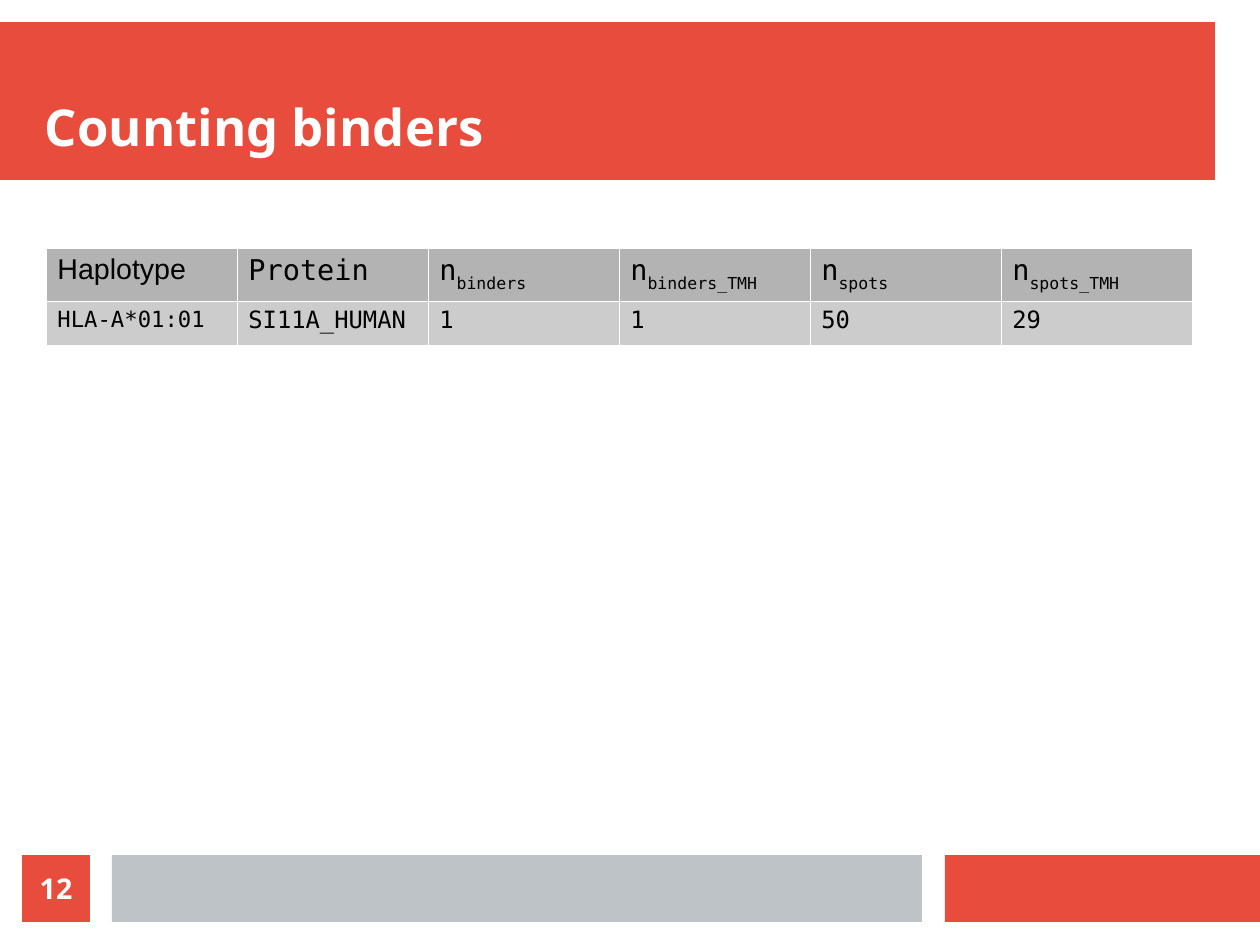
from lxml import etree
from pptx import Presentation
from pptx import util as u
from pptx.dml.color import RGBColor
from pptx.enum import shapes, text
from pptx.oxml.ns import qn

PX = 8000  # EMU in one px
RED = RGBColor(0xE7, 0x4C, 0x3C)
SILVER = RGBColor(0xBD, 0xC3, 0xC7)
HEADER_GRAY = RGBColor(0xB3, 0xB3, 0xB3)
ROW_GRAY = RGBColor(0xCC, 0xCC, 0xCC)
WHITE = RGBColor(0xFF, 0xFF, 0xFF)
BLACK = RGBColor(0, 0, 0)
HEADING, MONO, PLAIN = "Noto Sans", "DejaVu Sans Mono", "Arial"

# Each cell: text, subscript, font, size
HEADER = [("Haplotype", "", PLAIN, 18), ("Protein", "", MONO, 18)] + [
    ("n", name, MONO, 18) for name in ("binders", "binders_TMH", "spots", "spots_TMH")]
COUNTS = [("HLA-A*01:01", "", MONO, 14)] + [
    (value, "", MONO, 15) for value in ("SI11A_HUMAN", "1", "1", "50", "29")]


def add_span(para, content, font=HEADING, size=18, color=WHITE, bold=False, baseline=0):
    """Append formatted text; baseline is a percentage, negative for subscript."""
    span = para.add_run()
    span.text = content
    span.font.name = font
    span.font.size = u.Pt(size)
    span.font.color.rgb = color
    span.font.bold = bold
    if baseline:
        span.font._element.set("baseline", str(baseline * 1000))


def set_borders(cell, color, width):
    properties = cell._tc.get_or_add_tcPr()
    for index, side in enumerate(("lnL", "lnR", "lnT", "lnB")):
        line = etree.Element(qn(f"a:{side}"), w=str(width))
        fill = etree.SubElement(line, qn("a:solidFill"))
        etree.SubElement(fill, qn("a:srgbClr"), val=str(color))
        properties.insert(index, line)


class Slide:
    def __init__(self, deck):
        self.page = deck.slides.add_slide(deck.slide_layouts[6])

    def place(self, *lengths):
        return [length * PX for length in lengths]

    def bar(self, left, top, width, height, color):
        box = self.page.shapes.add_shape(
            shapes.MSO_SHAPE.RECTANGLE, *self.place(left, top, width, height))
        box.shadow.inherit = False
        box.fill.solid()
        box.fill.fore_color.rgb = color
        box.line.fill.background()
        return box

    def label(self, box, content, anchor, align, **style):
        frame = box.text_frame
        frame.word_wrap = True
        frame.vertical_anchor = anchor
        frame.margin_left = frame.margin_right = frame.margin_top = frame.margin_bottom = 0
        para = frame.paragraphs[0]
        para.alignment = align
        add_span(para, content, **style)

    def title(self, left, top, width, height, content):
        box = self.page.shapes.add_textbox(*self.place(left, top, width, height))
        self.label(box, content, text.MSO_ANCHOR.BOTTOM, text.PP_ALIGN.LEFT,
                   size=32, bold=True)

    def table(self, left, top, column_width, row_heights, rows, fills):
        columns = len(rows[0])
        frame = self.page.shapes.add_table(len(rows), columns, *self.place(
            left, top, column_width * columns, sum(row_heights)))
        grid = frame.table
        for column in grid.columns:
            column.width = column_width * PX
        for row, height, entries, fill in zip(grid.rows, row_heights, rows, fills):
            row.height = height * PX
            for cell, (content, subscript, font, size) in zip(row.cells, entries):
                cell.fill.solid()
                cell.fill.fore_color.rgb = fill
                set_borders(cell, WHITE, u.Pt(0.06))
                para = cell.text_frame.paragraphs[0]
                style = dict(font=font, size=size, color=BLACK)
                add_span(para, content, **style)
                if subscript:
                    add_span(para, subscript, baseline=-33, **style)


def main():
    deck = Presentation()
    deck.slide_width, deck.slide_height = 1260 * PX, 945 * PX
    slide = Slide(deck)
    slide.bar(0, 22, 1215, 158, RED)
    slide.bar(945, 855, 315, 67, RED)
    slide.bar(112, 855, 810, 67, SILVER)
    slide.title(45, 45, 1170, 112, "Counting binders")
    slide.table(46, 248, 191, (51, 44), (HEADER, COUNTS), (HEADER_GRAY, ROW_GRAY))
    number = slide.bar(22, 855, 68, 67, RED)
    slide.label(number, "12", text.MSO_ANCHOR.MIDDLE, text.PP_ALIGN.CENTER, bold=True)
    deck.save("out.pptx")


if __name__ == "__main__":
    main()
